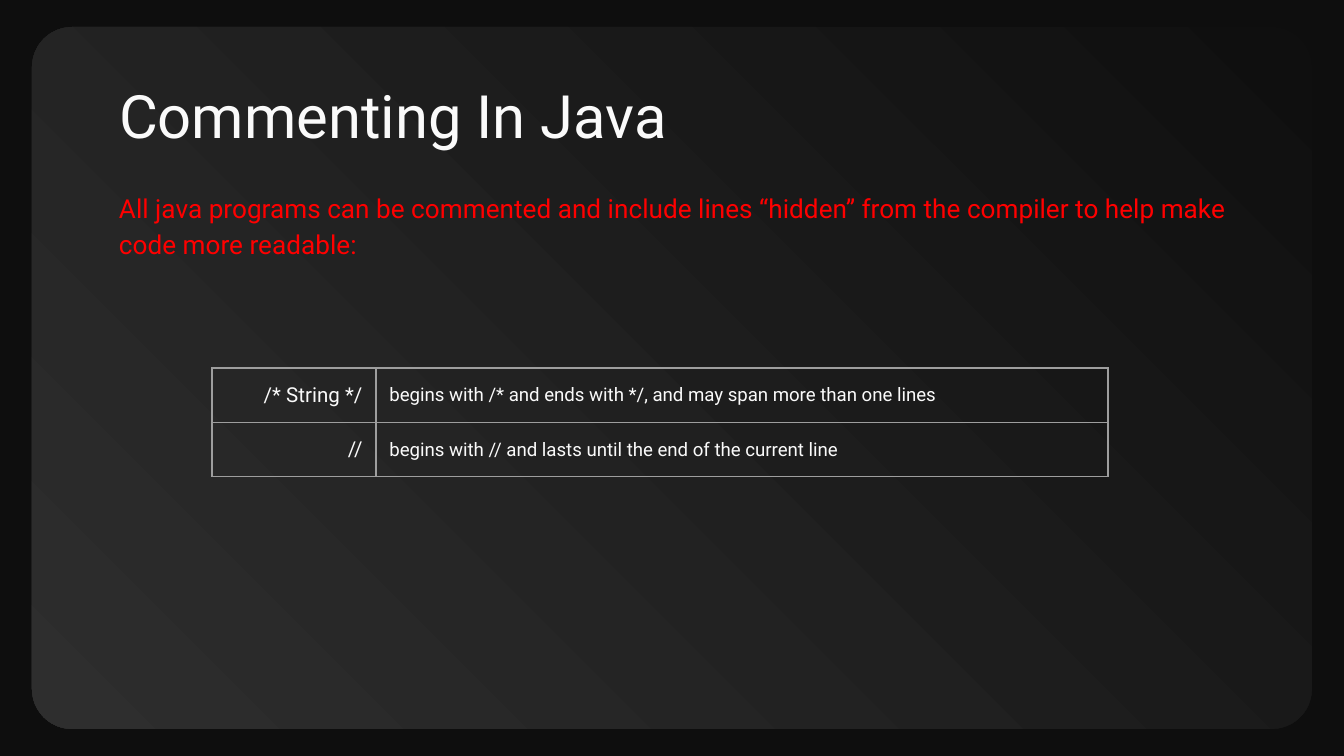
from lxml.etree import SubElement as Sub
from pptx import Presentation
from pptx.dml.color import RGBColor
from pptx.enum.shapes import MSO_SHAPE as Shape
from pptx.enum.text import MSO_ANCHOR as Anchor, MSO_AUTO_SIZE as Fit, PP_ALIGN as Align
from pptx.oxml.ns import qn
from pptx.util import Pt

SCALE = 914400 / 134.4
FONT = "Roboto"
BACK = RGBColor(0x0E, 0x0E, 0x0E)
DARK = RGBColor(0x0F, 0x0F, 0x0F)
LIGHT = RGBColor(0x2E, 0x2E, 0x2E)
WHITE = RGBColor(0xFA, 0xFA, 0xFA)
RED = RGBColor(0xFF, 0x00, 0x00)
GREY = RGBColor(0x9E, 0x9E, 0x9E)

ROWS = [
    ("/* String */", "begins with /* and ends with */, and may span more than one lines"),
    ("//", "begins with // and lasts until the end of the current line"),
]
COLS = [(164, 11, Align.RIGHT), (732, 10, Align.LEFT)]


def px(size):
    return round(size * SCALE)


def style(para, size, color, align=Align.LEFT):
    para.alignment = align
    para.font.name = FONT
    para.font.size = Pt(size)
    para.font.color.rgb = color


def write(frame, text, size, color):
    frame.auto_size = Fit.NONE
    frame.word_wrap = True
    frame.vertical_anchor = Anchor.TOP
    frame.margin_left = frame.margin_right = px(13)
    frame.margin_top = frame.margin_bottom = px(13)
    frame.text = text
    para = frame.paragraphs[0]
    style(para, size, color)
    return para


def add_panel(slide, x, y, w, h):
    panel = slide.shapes.add_shape(Shape.ROUNDED_RECTANGLE, px(x), px(y), px(w), px(h))
    panel.adjustments[0] = 0.057
    panel.shadow.inherit = False
    panel.line.fill.background()
    fill = panel.fill
    fill.gradient()
    fill.gradient_angle = 225
    for stop, place, color in zip(fill.gradient_stops, (0, 1), (DARK, LIGHT)):
        stop.position = place
        stop.color.rgb = color
    tree = slide.shapes._spTree
    tree.remove(panel._element)
    tree.insert(2, panel._element)


def add_title(slide, x, y, w, h):
    title = slide.shapes.title
    title.left, title.top, title.width, title.height = map(px, (x, y, w, h))
    write(title.text_frame, "Commenting In Java", 32, WHITE)


def add_intro(slide, x, y, w, h):
    box = slide.shapes.add_textbox(px(x), px(y), px(w), px(h))
    text = ("All java programs can be commented and include lines “hidden” "
            "from the compiler to help make code more readable:")
    write(box.text_frame, text, 14, RED).line_spacing = 1.15


def add_edges(cell):
    props = cell._tc.get_or_add_tcPr()
    for n, side in enumerate(("a:lnL", "a:lnR", "a:lnT", "a:lnB")):
        line = Sub(props, qn(side), w=str(Pt(0.75)))
        props.insert(n, line)
        Sub(Sub(line, qn("a:solidFill")), qn("a:srgbClr"), val=str(GREY))


def add_grid(slide, x, y, w, h):
    table = slide.shapes.add_table(len(ROWS), len(COLS), px(x), px(y), px(w), px(h)).table
    table.first_row = table.horz_banding = False
    for col, (width, _, _) in zip(table.columns, COLS):
        col.width = px(width)
    for row, texts in zip(table.rows, ROWS):
        for cell, text, (_, size, align) in zip(row.cells, texts, COLS):
            cell.text = text
            cell.vertical_anchor = Anchor.MIDDLE
            cell.fill.background()
            style(cell.text_frame.paragraphs[0], size, WHITE, align)
            add_edges(cell)


def main():
    deck = Presentation()
    deck.slide_width, deck.slide_height = px(1344), px(756)
    slide = deck.slides.add_slide(deck.slide_layouts[5])
    slide.background.fill.solid()
    slide.background.fill.fore_color.rgb = BACK
    add_panel(slide, 32, 27, 1280, 702)
    add_title(slide, 106, 66, 1133, 85)
    add_intro(slide, 106, 175, 1153, 183)
    add_grid(slide, 212, 368, 896, 109)
    deck.save("out.pptx")


if __name__ == "__main__":
    main()
